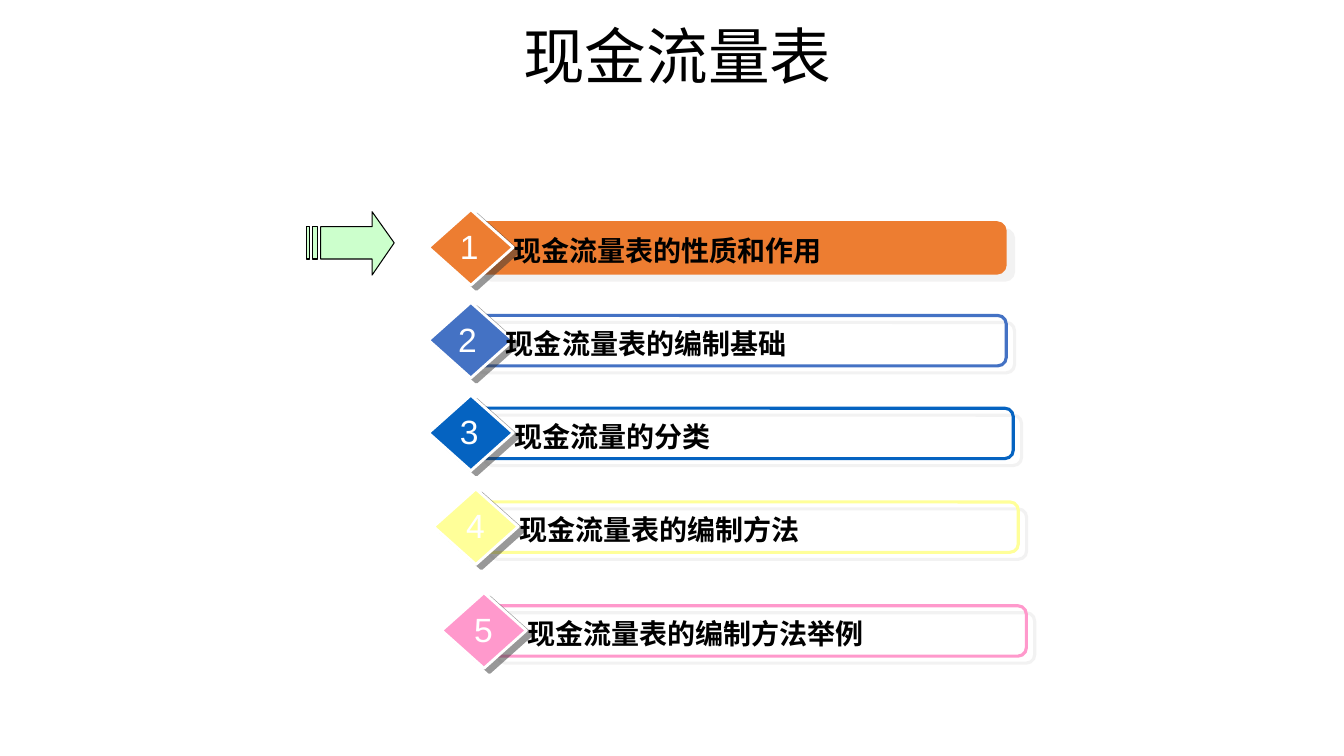
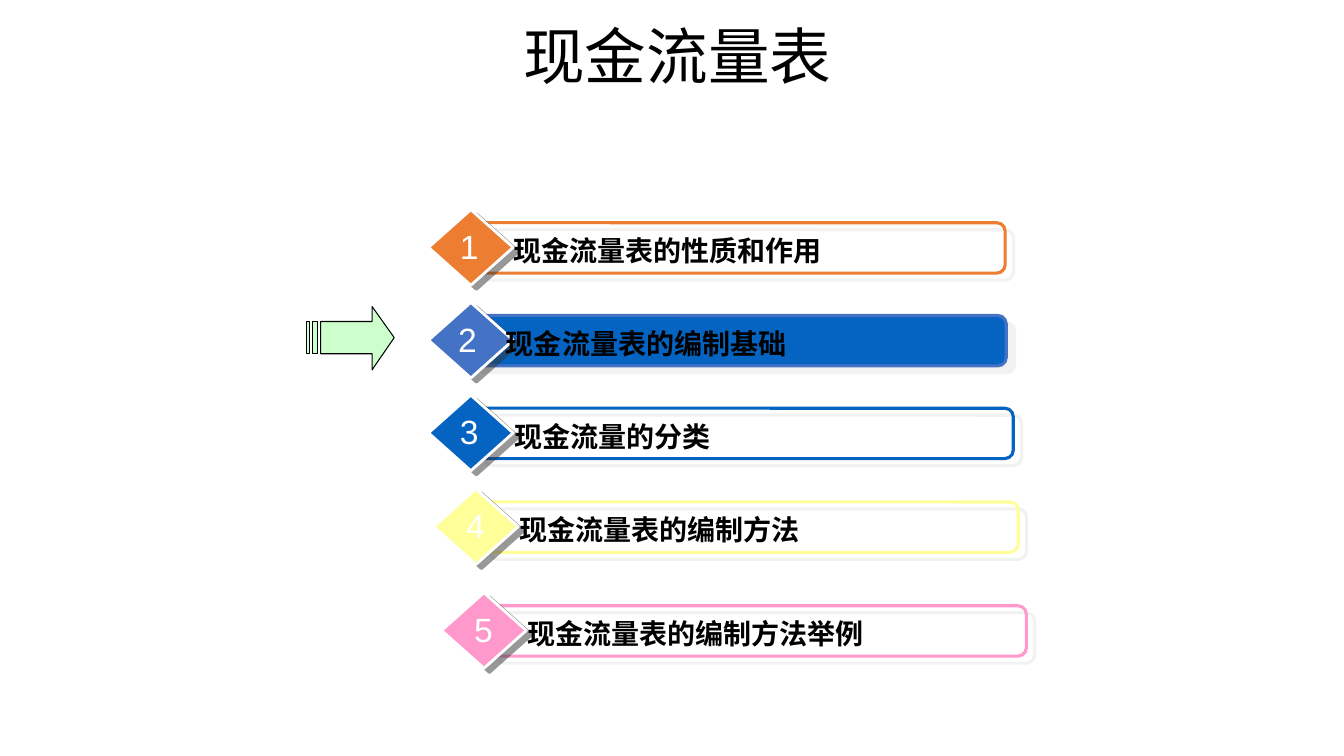
from lxml.etree import SubElement
from pptx import Presentation
from pptx.dml.color import RGBColor
from pptx.enum.shapes import MSO_SHAPE as SHAPE
from pptx.enum.text import PP_ALIGN as ALIGN
from pptx.oxml.ns import qn
from pptx.util import Inches, Pt

COLORS = {
    "orange": "ED7D31", "blue": "4472C4", "deep": "0563C1",
    "yellow": "FFFF99", "pink": "FF99CC", "mint": "CCFFCC",
    "black": "000000", "white": "FFFFFF", "grey": "E7E6E6", "dark": "333333",
}
TITLE = "现金流量表"
# label, colour, diamond left and top, number left, label left, bar right
TOPICS = [
    ("现金流量表的性质和作用", "orange", 4.25, 2.08, 4.46, 4.99, 9.97),
    ("现金流量表的编制基础", "blue", 4.25, 3.00, 4.44, 4.92, 9.98),
    ("现金流量的分类", "deep", 4.25, 3.92, 4.46, 5.00, 10.05),
    ("现金流量表的编制方法", "yellow", 4.30, 4.85, 4.52, 5.05, 10.10),
    ("现金流量表的编制方法举例", "pink", 4.38, 5.88, 4.60, 5.13, 10.18),
]
# current topic, fill of its bar, top of the pointing arrow
SLIDES = [(0, "orange", 2.10), (1, "deep", 3.04)]

ARROW_LEFT = 3.04
ARROW_PARTS = [
    [(0.65, 0), (0.65, 0.15), (0.14, 0.15), (0.14, 0.47),
     (0.65, 0.47), (0.65, 0.63), (0.87, 0.31)],
    [(0.06, 0.15), (0.06, 0.47), (0.11, 0.47), (0.11, 0.15)],
    [(0, 0.15), (0, 0.47), (0.03, 0.47), (0.03, 0.15)],
]


def rgb(name):
    return RGBColor.from_string(COLORS[name])


def paint(sp, fill, line, width):
    sp.shadow.inherit = False
    if fill:
        sp.fill.solid()
        sp.fill.fore_color.rgb = rgb(fill)
    else:
        sp.fill.background()
    sp.line.color.rgb = rgb(line)
    sp.line.width = Pt(width)


def add_shadow(sp, color, distance, degrees):
    """Add a sharp, half-transparent shadow."""
    effects = sp._element.spPr.find(qn("a:effectLst"))
    shadow = SubElement(effects, qn("a:outerShdw"), blurRad="0", dist=str(Pt(distance)),
                        dir=str(degrees * 60000), algn="ctr", rotWithShape="0")
    clr = SubElement(shadow, qn("a:srgbClr"), val=COLORS[color])
    SubElement(clr, qn("a:alpha"), val="50000")


def add_preset(s, kind, box, fill, line, width, shadow):
    sp = s.shapes.add_shape(kind, *map(Inches, box))
    paint(sp, fill, line, width)
    add_shadow(sp, *shadow)


def add_text(s, text, box, size, color="black", font="Arial", bold=False,
             align=ALIGN.LEFT, wrap=True, spacing=None):
    tf = s.shapes.add_textbox(*map(Inches, box)).text_frame
    tf.word_wrap = wrap
    p = tf.paragraphs[0]
    p.text = text
    p.alignment = align
    p.line_spacing = spacing
    p.font.name, p.font.size, p.font.bold = font, Pt(size), bold
    p.font.color.rgb = rgb(color)


def add_topic(s, number, topic, bar_fill):
    label, color, x, y, number_x, label_x, right = topic
    bar_x = label_x - 0.28
    add_preset(s, SHAPE.ROUNDED_RECTANGLE, (bar_x, y + 0.13, right - bar_x, 0.5),
               bar_fill, color, 2.25, ("grey", 7.8, 40))
    add_preset(s, SHAPE.DIAMOND, (x, y, 0.84, 0.75),
               color, "white", 2, ("dark", 5, 37))
    add_text(s, label, (label_x, y + 0.19, 4.2, 0.43), 20, bold=True)
    add_text(s, str(number), (number_x, y + 0.11, 0.39, 0.5), 24, "white",
             align=ALIGN.CENTER, wrap=False)


def add_arrow(s, top):
    builder = None
    for part in ARROW_PARTS:
        start, *rest = [(Inches(ARROW_LEFT + x), Inches(top + y)) for x, y in part]
        if builder is None:
            builder = s.shapes.build_freeform(*start)
        else:
            builder.move_to(*start)
        builder.add_line_segments(rest, close=True)
    paint(builder.convert_to_shape(), "mint", "black", 0.75)


def main():
    prs = Presentation()
    prs.slide_width, prs.slide_height = Inches(13.33), Inches(7.5)
    for current, bar_fill, arrow_top in SLIDES:
        s = prs.slides.add_slide(prs.slide_layouts[6])
        add_text(s, TITLE, (2.22, 0.21, 9, 1.25), 44, font="Noto Sans CJK SC",
                 align=ALIGN.CENTER, spacing=0.9)
        for i, topic in enumerate(TOPICS):
            add_topic(s, i + 1, topic, bar_fill if i == current else None)
        add_arrow(s, arrow_top)
    prs.save("out.pptx")


if __name__ == "__main__":
    main()
